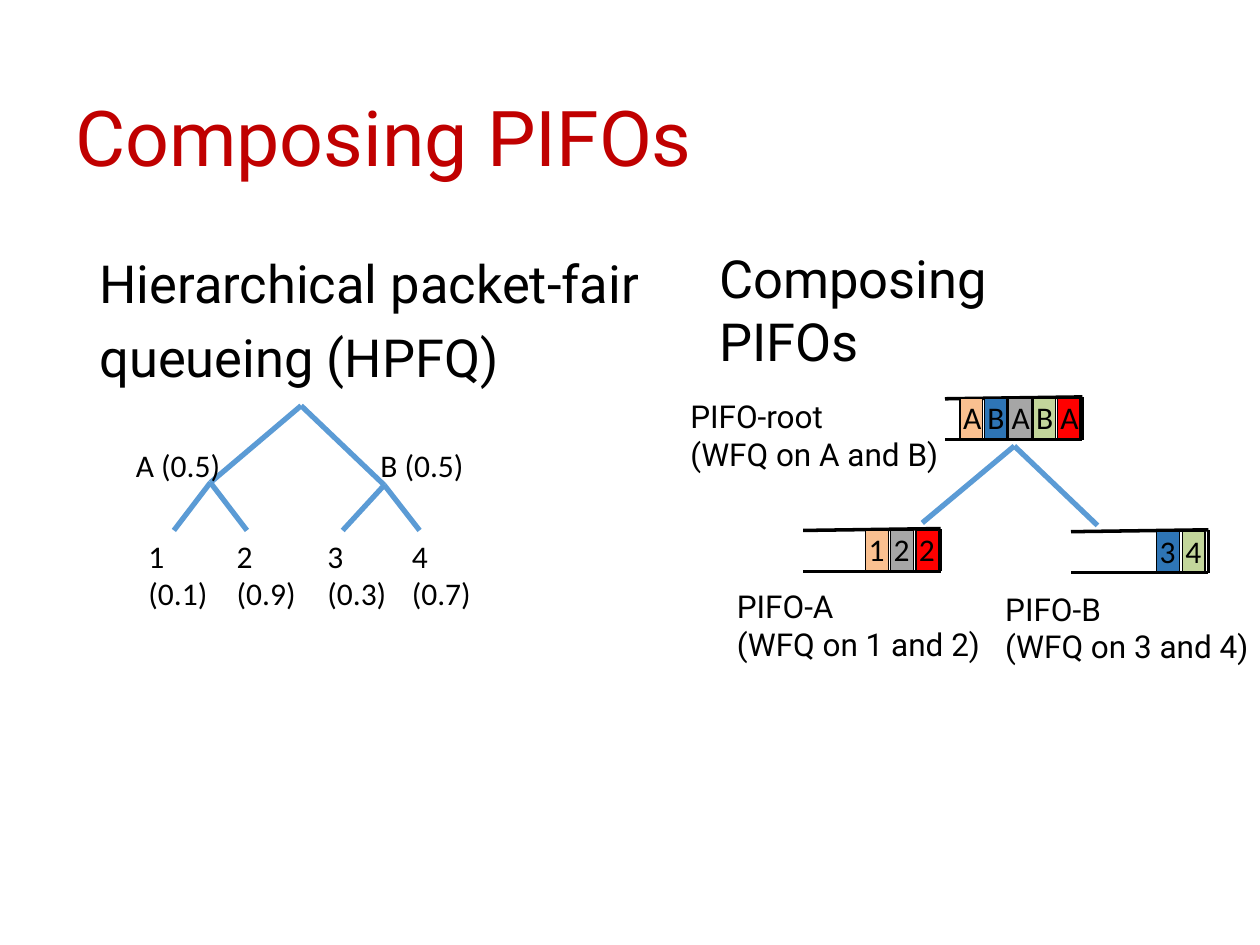
from lxml.etree import SubElement
from pptx import Presentation
from pptx.dml.color import RGBColor
from pptx.enum.shapes import MSO_CONNECTOR, MSO_SHAPE
from pptx.enum.text import MSO_ANCHOR, MSO_AUTO_SIZE
from pptx.oxml.ns import qn
from pptx.util import Inches, Pt

# The slide is a grid of 100 columns by 75 rows.
COLS, ROWS = 100, 75
UNIT = Inches(0.1)
CELL_W, CELL_H = 1.8, 3.2
QUEUE_W, QUEUE_H = 10.9, 3.4

COLORS = {
    "title": "C00000", "ink": "000000", "tree": "5B9BD5",
    "red": "FF0000", "green": "C3D69B", "gray": "A6A6A6",
    "blue": "2E75B6", "orange": "FAC090",
}


def grid(*values):
    """Convert grid columns or rows to slide lengths."""
    return [round(v * UNIT) for v in values]


def rgb(name):
    """Look up a named colour."""
    return RGBColor.from_string(COLORS[name])


def add_text(s, box, text, size=18, font="Calibri", color="ink", wrap=False, grow=True):
    """Add a text box, one paragraph per line of text, and return its frame."""
    tf = s.shapes.add_textbox(*grid(*box)).text_frame
    tf.word_wrap = wrap
    tf.auto_size = MSO_AUTO_SIZE.SHAPE_TO_FIT_TEXT if grow else MSO_AUTO_SIZE.NONE
    tf.text = text
    for p in tf.paragraphs:
        for r in p.runs:
            r.font.size, r.font.name = Pt(size), font
            r.font.color.rgb = rgb(color)
    return tf


def add_line(shapes, start, end, color="tree", width=3):
    """Add a straight line without a shadow."""
    c = shapes.add_connector(MSO_CONNECTOR.STRAIGHT, *grid(*start, *end))
    c.line.color.rgb, c.line.width = rgb(color), Pt(width)
    SubElement(c._element.spPr, qn("a:effectLst"))


def add_fork(s, top, ends):
    """Join a parent point to each of its children."""
    for end in ends:
        add_line(s.shapes, top, end)


def add_queue(s, left, top):
    """Draw the open-ended outline of a queue as a group."""
    shapes = s.shapes.add_group_shape().shapes
    right, bottom = left + QUEUE_W, top + QUEUE_H
    for start, end in (((left, top + 0.15), (right, top)),
                       ((left, bottom), (right, bottom)),
                       ((right, bottom), (right, top))):
        add_line(shapes, start, end, "ink", 2)


def add_packets(s, left, top, pitch, packets, label_w, wrap):
    """Draw a row of coloured packets, then their labels."""
    for i, (_, color) in enumerate(packets):
        sp = s.shapes.add_shape(MSO_SHAPE.RECTANGLE,
                                *grid(left + i * pitch, top, CELL_W, CELL_H))
        sp.shadow.inherit = False
        sp.fill.solid()
        sp.fill.fore_color.rgb = rgb(color)
        sp.line.color.rgb, sp.line.width = rgb("ink"), Pt(0.75)
    for i, (label, _) in enumerate(packets):
        add_text(s, (left + i * pitch - 0.75, top - 0.5, label_w, 4), label, wrap=wrap)


def add_headings(s):
    """Add the title and the two column headings."""
    tf = add_text(s, (5, 4, 88.1, 14.5), "Composing PIFOs", 44, "Roboto", "title", True, False)
    tf.vertical_anchor = MSO_ANCHOR.MIDDLE
    tf.paragraphs[0].line_spacing = 0.9
    tf = add_text(s, (6.9, 20, 86.2, 47.6), "Hierarchical packet-fair\nqueueing (HPFQ)",
                  30, "Roboto", wrap=True, grow=False)
    for p in tf.paragraphs:
        p.line_spacing, p.space_before = 0.9, Pt(10)
    tf = add_text(s, (56.1, 19, 35, 6.1), "Composing PIFOs", 30, "Roboto",
                  wrap=True, grow=False)
    tf.margin_right = grid(8)[0]


def add_share_tree(s):
    """Draw the HPFQ tree with its weights."""
    root, a, b = (23.9, 32.2), (16.7, 38.3), (30.5, 38.5)
    add_fork(s, root, (a, b))
    add_fork(s, a, ((13.8, 42.1), (19.6, 42.1)))
    add_fork(s, b, ((27.2, 42.1), (33.3, 42.1)))
    for left, name in ((9.8, "A"), (29.2, "B")):
        add_text(s, (left, 34.9, 8.8, 4), f"{name} (0.5)")
    leaves = ((10.8, 0.1), (17.8, 0.9), (25, 0.3), (31.7, 0.7))
    for n, (left, share) in enumerate(leaves, 1):
        add_text(s, (left, 42.1, 6.8, 7.1), f"{n}\n({share})")


def add_pifo_tree(s):
    """Draw the root PIFO, its two children and their captions."""
    pifos = (
        (75, 31.5, 76.2, 31.6, 1.93, 3.5, False,
         (("A", "orange"), ("B", "blue"), ("A", "gray"), ("B", "green"), ("A", "red"))),
        (63.75, 41.95, 68.7, 42.1, 2, 3, True,
         (("1", "orange"), ("2", "gray"), ("2", "red"))),
        (85, 42.05, 91.8, 42.2, 2.05, 3, True, (("3", "blue"), ("4", "green"))),
    )
    for left, top, first, row, pitch, label_w, wrap, packets in pifos:
        add_queue(s, left, top)
        add_packets(s, first, row, pitch, packets, label_w, wrap)
    add_fork(s, (80.5, 35.4), ((73.2, 41.5), (87.1, 41.7)))
    captions = ((53.8, 31, 21.9, "root", "A and B"),
                (57.5, 46.1, 21.6, "A", "1 and 2"),
                (78.8, 46.3, 21.6, "B", "3 and 4"))
    for left, top, width, name, flows in captions:
        add_text(s, (left, top, width, 7.1), f"PIFO-{name}\n(WFQ on {flows})", font="Roboto")


def main():
    """Build and save the slide."""
    prs = Presentation()
    prs.slide_width, prs.slide_height = grid(COLS, ROWS)
    s = prs.slides.add_slide(prs.slide_layouts[6])
    add_headings(s)
    add_share_tree(s)
    add_pifo_tree(s)
    prs.save("out.pptx")


main()
